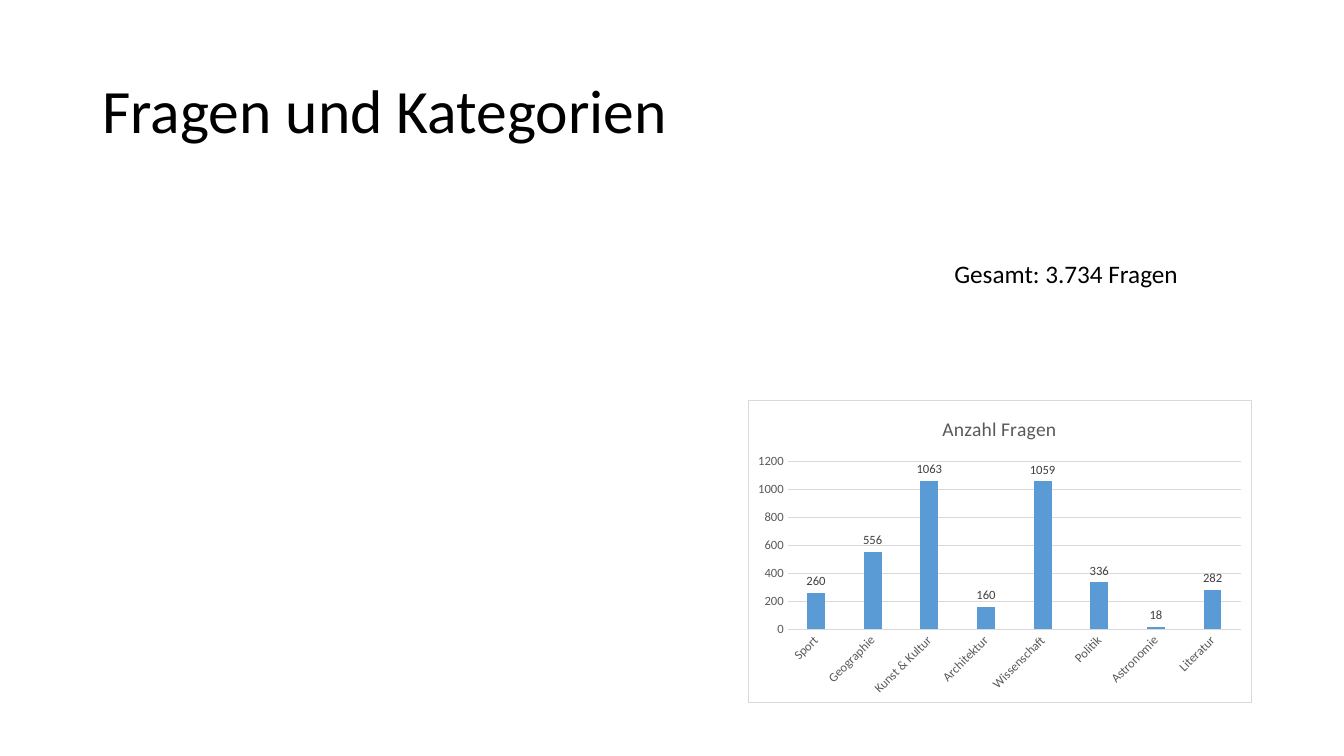
from lxml import etree
from pptx import Presentation
from pptx.chart.data import CategoryChartData as Data
from pptx.dml.color import RGBColor
from pptx.enum.chart import XL_CHART_TYPE as Kind, XL_LABEL_POSITION as Spot, XL_TICK_MARK as Tick
from pptx.enum.text import MSO_ANCHOR as Anchor
from pptx.oxml import parse_xml
from pptx.oxml.ns import nsdecls, qn
from pptx.util import Pt

BLACK = RGBColor(0x00, 0x00, 0x00)
WHITE = RGBColor(0xFF, 0xFF, 0xFF)
GREY = RGBColor(0x59, 0x59, 0x59)
DARK = RGBColor(0x40, 0x40, 0x40)
PALE = RGBColor(0xD9, 0xD9, 0xD9)
BLUE = RGBColor(0x5B, 0x9B, 0xD5)

HEAD = "Anzahl Fragen"
COUNTS = {
    "Sport": 260, "Geographie": 556, "Kunst & Kultur": 1063, "Architektur": 160,
    "Wissenschaft": 1059, "Politik": 336, "Astronomie": 18, "Literatur": 282,
}


def style(item, form):
    for name, value in form.items():
        setattr(item, name, value)


def set_font(font, size, color):
    style(font, {"name": "Calibri", "size": Pt(size), "bold": False})
    font.color.rgb = color


def set_line(line, color):
    line.width = Pt(0.75)
    line.color.rgb = color


def add_text(slide, box, text, size, form, space=1.0):
    frame = slide.shapes.add_textbox(*map(Pt, box)).text_frame
    style(frame, {"word_wrap": True, **form})
    para = frame.paragraphs[0]
    para.line_spacing = space
    run = para.add_run()
    run.text = text
    set_font(run.font, size, BLACK)


def add_frame(chart):
    # White area with a thin border
    area = parse_xml(
        f'<c:spPr {nsdecls("c", "a")}>'
        f'<a:solidFill><a:srgbClr val="{WHITE}"/></a:solidFill>'
        f'<a:ln w="{Pt(0.75)}"><a:solidFill><a:srgbClr val="{PALE}"/></a:solidFill></a:ln>'
        '</c:spPr>')
    root = chart._chartSpace
    root.find(qn("c:chart")).addnext(area)
    # Square corners
    corner = root.find(qn("c:roundedCorners"))
    if corner is None:
        corner = etree.Element(qn("c:roundedCorners"))
        root.find(qn("c:chart")).addprevious(corner)
    corner.set("val", "0")


def add_bars(slide, box):
    data = Data()
    data.categories = list(COUNTS)
    data.add_series(HEAD, list(COUNTS.values()))
    chart = slide.shapes.add_chart(Kind.COLUMN_CLUSTERED, *map(Pt, box), data).chart
    chart.has_legend = False
    set_font(chart.font, 10, BLACK)
    add_frame(chart)

    # Heading
    title = chart.chart_title
    title.include_in_layout = False
    run = title.text_frame.paragraphs[0].add_run()
    run.text = HEAD
    set_font(run.font, 14, GREY)

    # Axes
    cat, val = chart.category_axis, chart.value_axis
    for axis in (cat, val):
        style(axis, {"major_tick_mark": Tick.NONE, "minor_tick_mark": Tick.NONE})
        set_font(axis.tick_labels.font, 9, GREY)
    set_line(cat.format.line, PALE)
    cat._element.find(qn("c:txPr")).find(qn("a:bodyPr")).set("rot", "-2700000")
    val.format.line.fill.background()
    set_line(val.major_gridlines.format.line, PALE)
    style(val, {"minimum_scale": 0, "maximum_scale": 1200, "major_unit": 200})

    # Bars and their values
    plot = chart.plots[0]
    style(plot, {"gap_width": 219, "overlap": -27, "vary_by_categories": False})
    bars = plot.series[0]
    bars.format.fill.solid()
    bars.format.fill.fore_color.rgb = BLUE
    labels = bars.data_labels
    style(labels, {"show_value": True, "position": Spot.OUTSIDE_END})
    set_font(labels.font, 9, DARK)


def build(deck, box):
    left, top, width, height = box
    slide = deck.slides.add_slide(deck.slide_layouts[6])
    # Title
    add_text(slide, (left + 66, top + 28.8, width - 132, 104.4),
             "Fragen und Kategorien", 44, {"vertical_anchor": Anchor.MIDDLE}, 0.9)
    # Chart
    add_bars(slide, (left + 534, top + 286, 360, 216))
    # Total
    add_text(slide, (left + 674.6, top + 180.7, 226.8, 29),
             "Gesamt: 3.734 Fragen", 18, {"vertical_anchor": Anchor.TOP})


def main():
    deck = Presentation()
    style(deck, {"slide_width": Pt(960), "slide_height": Pt(540)})
    build(deck, (0, 0, 960, 540))
    deck.save("out.pptx")


if __name__ == "__main__":
    main()
